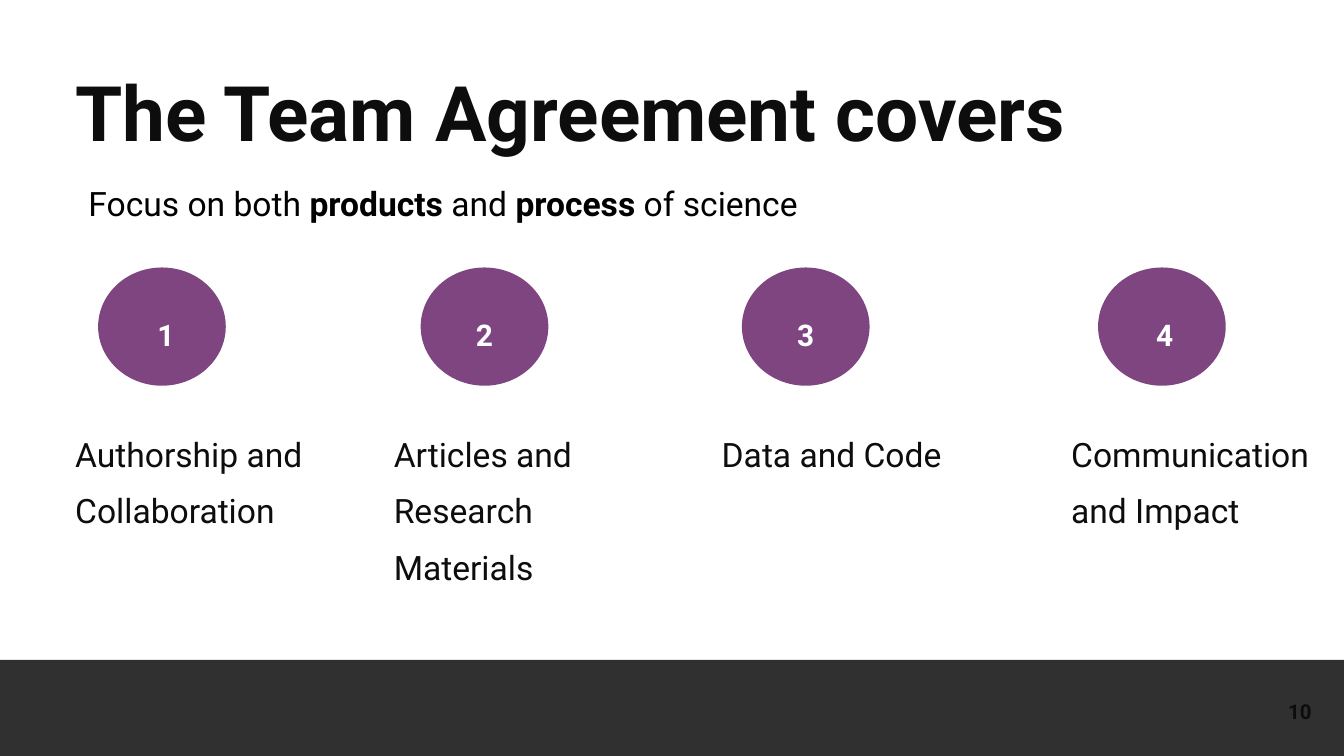
from pptx import Presentation
from pptx.dml.color import RGBColor
from pptx.enum.shapes import MSO_SHAPE
from pptx.enum.text import MSO_ANCHOR, PP_ALIGN
from pptx.util import Inches, Pt

FONT = "Roboto"
INK = "0D0D0D"
WHITE = "FFFFFF"
PURPLE = "7E4581"
CHARCOAL = "303030"

TOPICS = [
    ("Authorship and Collaboration", 0.73, 1.01, 0.56, 1.74),
    ("Articles and Research Materials", 3.13, 3.38, 2.93, 1.99),
    ("Data and Code", 5.52, 5.77, 5.37, 1.99),
    ("Communication and Impact", 8.17, 8.44, 7.97, 1.85),
]


def color(value):
    return RGBColor.from_string(value)


def add_filled(slide, preset, left, top, width, height, fill):
    figure = slide.shapes.add_shape(
        preset, Inches(left), Inches(top), Inches(width), Inches(height))
    figure.shadow.inherit = False
    figure.fill.solid()
    figure.fill.fore_color.rgb = color(fill)
    figure.line.fill.background()


def prepare_frame(frame, inset=0):
    frame.word_wrap = True
    frame.vertical_anchor = MSO_ANCHOR.TOP
    frame.margin_left = frame.margin_right = Inches(inset)
    frame.margin_top = frame.margin_bottom = Inches(inset)


def style(paragraph, size, ink, bold=False, spacing=1.0, align=PP_ALIGN.LEFT):
    paragraph.font.name = FONT
    paragraph.font.size = Pt(size)
    paragraph.font.color.rgb = color(ink)
    paragraph.font.bold = bold
    paragraph.line_spacing = spacing
    paragraph.alignment = align


def add_text(slide, left, top, width, height, runs, inset=0, **look):
    box = slide.shapes.add_textbox(
        Inches(left), Inches(top), Inches(width), Inches(height))
    prepare_frame(box.text_frame, inset)
    paragraph = box.text_frame.paragraphs[0]
    style(paragraph, **look)
    for words, emphasized in runs:
        run = paragraph.add_run()
        run.text = words
        if emphasized:
            run.font.bold = True


def set_title(slide, words):
    title = slide.shapes.title
    title.left, title.top = Inches(0.56), Inches(0.56)
    title.width, title.height = Inches(8.81), Inches(0.79)
    title.text_frame.text = words
    prepare_frame(title.text_frame)
    style(title.text_frame.paragraphs[0], 41, INK, bold=True, spacing=0.9)


def add_topic(slide, number, topic, circle_left, number_left, label_left, label_width):
    add_filled(slide, MSO_SHAPE.OVAL, circle_left, 1.99, 0.95, 0.88, PURPLE)
    add_text(slide, number_left, 2.29, 0.45, 0.27, [(str(number), False)],
             size=16, ink=WHITE, bold=True, spacing=1.25, align=PP_ALIGN.CENTER)
    add_text(slide, label_left, 3.11, label_width, 1.77, [(topic, False)],
             size=18, ink=INK, spacing=1.4)


def main():
    deck = Presentation()
    deck.slide_width = Inches(10)
    deck.slide_height = deck.slide_width * 9 // 16
    slide = deck.slides.add_slide(deck.slide_layouts[5])

    set_title(slide, "The Team Agreement covers")
    add_filled(slide, MSO_SHAPE.RECTANGLE, 0, 4.91, 10, 0.72, CHARCOAL)
    for number, topic in enumerate(TOPICS, start=1):
        add_topic(slide, number, *topic)

    focus = [("Focus on both ", False), ("products", True), (" and ", False),
             ("process", True), (" of science", False)]
    add_text(slide, 0.56, 1.26, 8.95, 0.5, focus, inset=0.1, size=18, ink="000000")
    add_text(slide, 9.26, 5.2, 0.5, 0.2, [("10", False)],
             size=11, ink=INK, bold=True, align=PP_ALIGN.RIGHT)

    deck.save("out.pptx")


if __name__ == "__main__":
    main()
